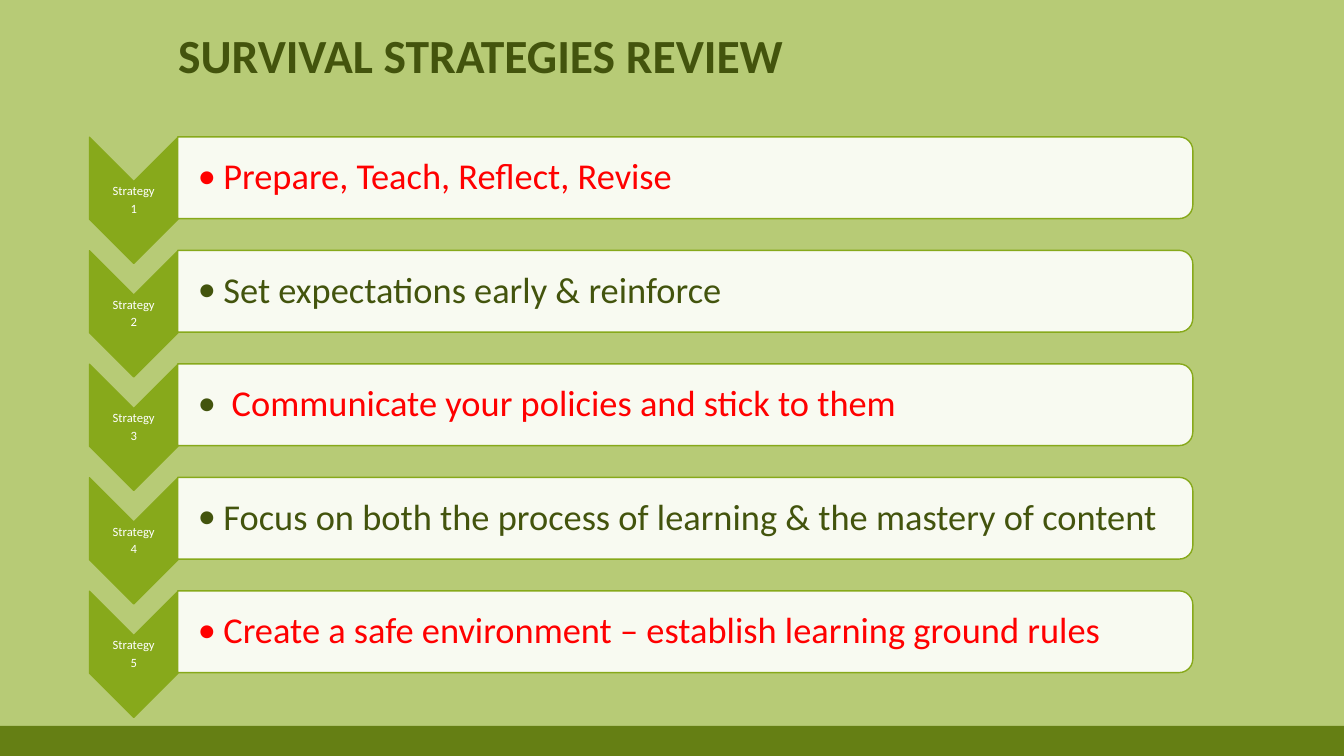
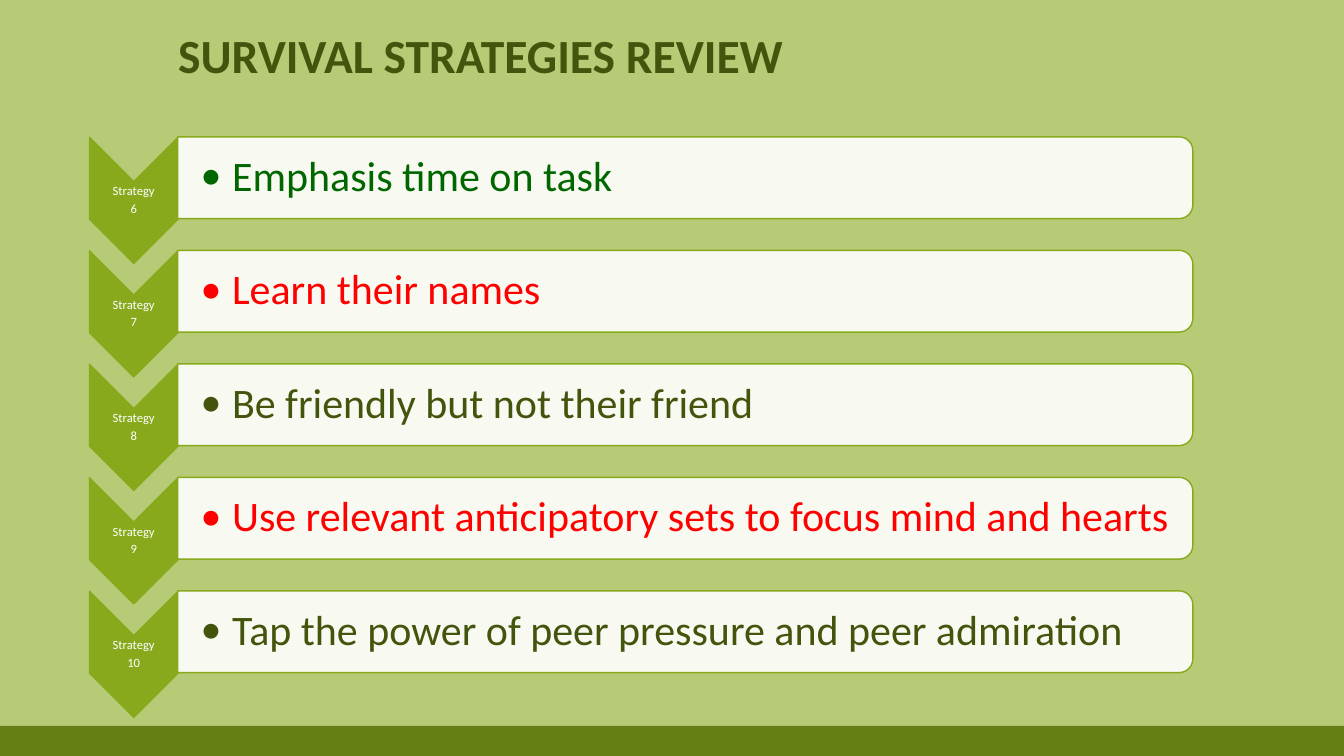
"""Build two review slides that list ten classroom survival strategies."""
from dataclasses import dataclass

from lxml.etree import SubElement
from pptx import Presentation
from pptx.dml.color import RGBColor
from pptx.enum.shapes import MSO_SHAPE as Preset
from pptx.enum.text import MSO_ANCHOR as Anchor, PP_ALIGN as Align
from pptx.oxml.ns import qn
from pptx.util import Cm, Pt


@dataclass(frozen=True)
class Theme:
    """Colours and type sizes shared by both slides."""
    font: str = "Calibri"
    background: str = "B7CB76"
    band: str = "657F14"
    accent: str = "87A91B"
    panel: str = "F8FAF1"
    label: str = "FFFFFF"
    ink: str = "43540D"
    red: str = "FF0000"
    green: str = "006600"
    title_size: int = 34
    label_size: int = 9


@dataclass(frozen=True)
class Strategy:
    """One strategy, its colours and any extra indent in centimetres."""
    wording: str
    colour: str
    bullet_colour: str = ""
    extra_indent: float = 0


@dataclass(frozen=True)
class Review:
    """The strategies of one slide and the type setting they use."""
    first_number: int
    size: int
    inset: float
    indent: float
    strategies: tuple


THEME = Theme()
SLIDE_WIDTH, SLIDE_HEIGHT = 33.87, 19.05
BAND_HEIGHT = 0.76
ROW_PITCH = 2.86
CHEVRON_X, CHEVRON_Y = 3.37, 5.05
CHEVRON_LENGTH, CHEVRON_WIDTH = 3.18, 2.23
PANEL_X, PANEL_Y = 17.27, 4.48
PANEL_LENGTH, PANEL_DEPTH = 25.58, 2.06
TITLE = "SURVIVAL STRATEGIES REVIEW"

REVIEWS = (
    Review(1, 26, 0.51, 0.64, (
        Strategy("Prepare, Teach, Reflect, Revise", THEME.red),
        Strategy("Set expectations early & reinforce", THEME.ink),
        Strategy("Communicate your policies and stick to them", THEME.red, THEME.ink, 0.21),
        Strategy("Focus on both the process of learning & the mastery of content", THEME.ink),
        Strategy("Create a safe environment – establish learning ground rules", THEME.red),
    )),
    Review(6, 30, 0.58, 0.79, (
        Strategy("Emphasis time on task", THEME.green),
        Strategy("Learn their names", THEME.red),
        Strategy("Be friendly but not their friend", THEME.ink),
        Strategy("Use relevant anticipatory sets to focus mind and hearts", THEME.red),
        Strategy("Tap the power of peer pressure and peer admiration", THEME.ink),
    )),
)


def centred_box(x, y, width, height):
    """Return left, top, width and height of a box around a centre."""
    return Cm(x - width / 2), Cm(y - height / 2), Cm(width), Cm(height)


def add_block(slide, preset, box, fill, line=None, rotation=0):
    """Add a flat preset shape."""
    block = slide.shapes.add_shape(preset, *box)
    block.shadow.inherit = False
    block.rotation = rotation
    block.fill.solid()
    block.fill.fore_color.rgb = RGBColor.from_string(fill)
    if line:
        block.line.color.rgb = RGBColor.from_string(line)
        block.line.width = Pt(1)
    else:
        block.line.fill.background()


def add_words(slide, box, wording, size, colour, anchor=Anchor.MIDDLE,
              align=Align.LEFT, bold=False, after=0, insets=(0.25, 0.13)):
    """Add a wrapped text box and return its paragraphs."""
    frame = slide.shapes.add_textbox(*box).text_frame
    frame.word_wrap = True
    frame.vertical_anchor = anchor
    frame.margin_left = Cm(insets[0])
    frame.margin_right = frame.margin_top = frame.margin_bottom = Cm(insets[1])
    frame.text = wording
    for paragraph in frame.paragraphs:
        paragraph.alignment = align
        paragraph.line_spacing = 0.9
        paragraph.space_after = Pt(after)
        for run in paragraph.runs:
            run.font.name = THEME.font
            run.font.size = Pt(size)
            run.font.bold = bold
            run.font.color.rgb = RGBColor.from_string(colour)
    return frame.paragraphs


def add_bullet(paragraph, indent, colour):
    """Give a paragraph a coloured bullet with a hanging indent."""
    properties = paragraph._p.get_or_add_pPr()
    properties.set("marL", str(Cm(indent)))
    properties.set("indent", str(-Cm(indent)))
    bullet_colour = SubElement(properties, qn("a:buClr"))
    SubElement(bullet_colour, qn("a:srgbClr"), val=colour)
    SubElement(properties, qn("a:buFont"), typeface=THEME.font)
    SubElement(properties, qn("a:buChar"), char="•")


def add_frame(slide):
    """Add the bottom band and the title."""
    band = Cm(0), Cm(SLIDE_HEIGHT - BAND_HEIGHT), Cm(SLIDE_WIDTH), Cm(BAND_HEIGHT)
    add_block(slide, Preset.RECTANGLE, band, THEME.band)
    add_words(slide, (Cm(4.24), Cm(0.38), Cm(25.4), Cm(1.85)), TITLE,
              THEME.title_size, THEME.ink, anchor=Anchor.BOTTOM, bold=True)


def add_chevron(slide, number, offset):
    """Add a downward chevron with the strategy number."""
    y = CHEVRON_Y + offset
    add_block(slide, Preset.CHEVRON,
              centred_box(CHEVRON_X, y, CHEVRON_LENGTH, CHEVRON_WIDTH),
              THEME.accent, THEME.accent, rotation=90)
    add_words(slide, centred_box(CHEVRON_X, y, CHEVRON_WIDTH, 0.97),
              f"Strategy\n{number}", THEME.label_size, THEME.label,
              align=Align.CENTER, after=3, insets=(0.03, 0.03))


def add_panel(slide, strategy, review, offset):
    """Add a panel rounded on the right with the strategy wording."""
    y = PANEL_Y + offset
    add_block(slide, Preset.ROUND_2_SAME_RECTANGLE,
              centred_box(PANEL_X, y, PANEL_DEPTH, PANEL_LENGTH),
              THEME.panel, THEME.accent, rotation=90)
    paragraphs = add_words(slide, centred_box(PANEL_X - 0.05, y, PANEL_LENGTH - 0.1, 1.88),
                           strategy.wording, review.size, strategy.colour,
                           after=4, insets=(review.inset, 0.05))
    add_bullet(paragraphs[0], review.indent + strategy.extra_indent,
               strategy.bullet_colour or strategy.colour)


def add_review(deck, review):
    """Add one review slide."""
    slide = deck.slides.add_slide(deck.slide_layouts[6])
    add_frame(slide)
    for row, strategy in enumerate(review.strategies):
        add_chevron(slide, review.first_number + row, row * ROW_PITCH)
        add_panel(slide, strategy, review, row * ROW_PITCH)


def main():
    """Build and save the deck."""
    deck = Presentation()
    deck.slide_width, deck.slide_height = Cm(SLIDE_WIDTH), Cm(SLIDE_HEIGHT)
    backdrop = deck.slide_master.background.fill
    backdrop.solid()
    backdrop.fore_color.rgb = RGBColor.from_string(THEME.background)
    for review in REVIEWS:
        add_review(deck, review)
    deck.save("out.pptx")


if __name__ == "__main__":
    main()
